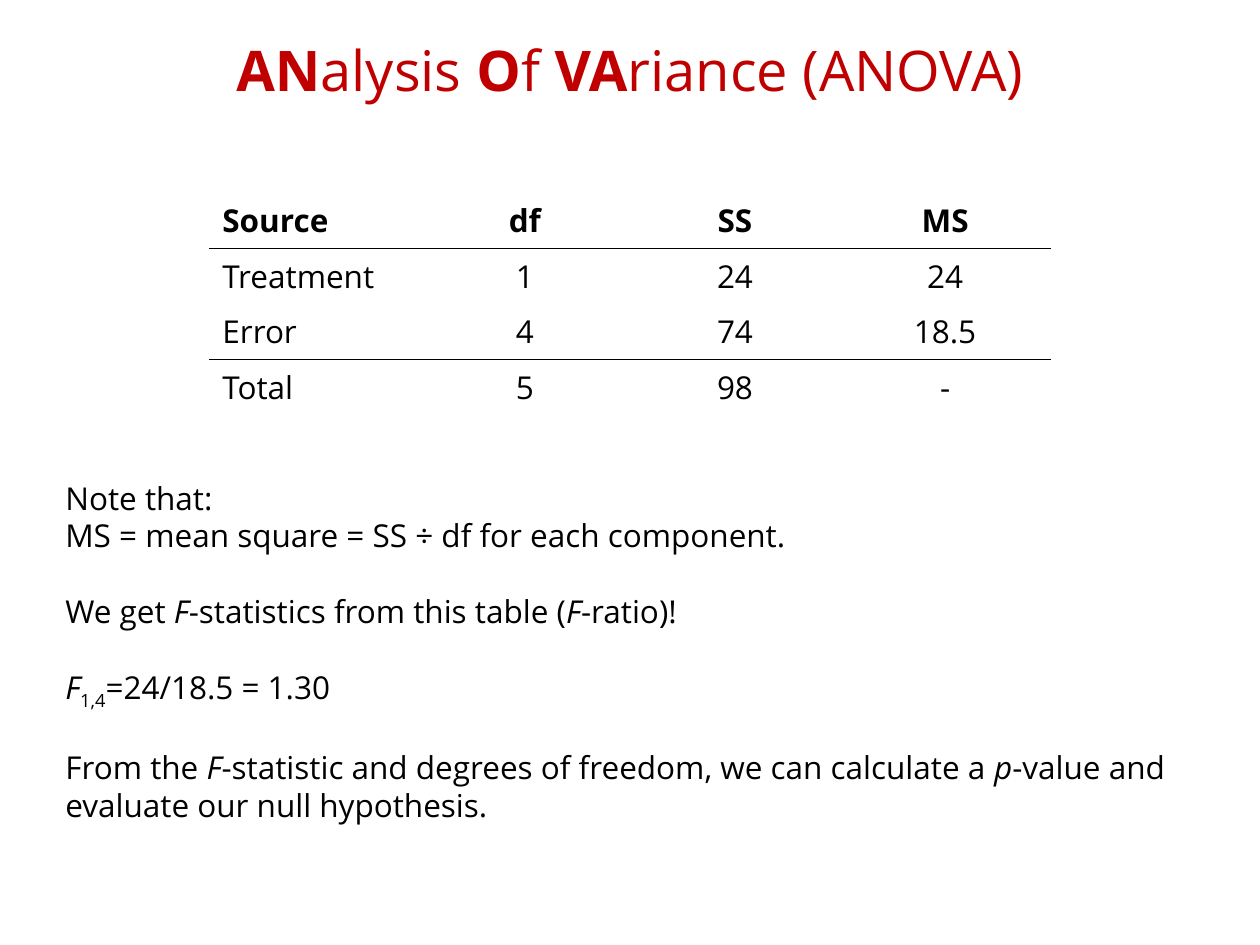
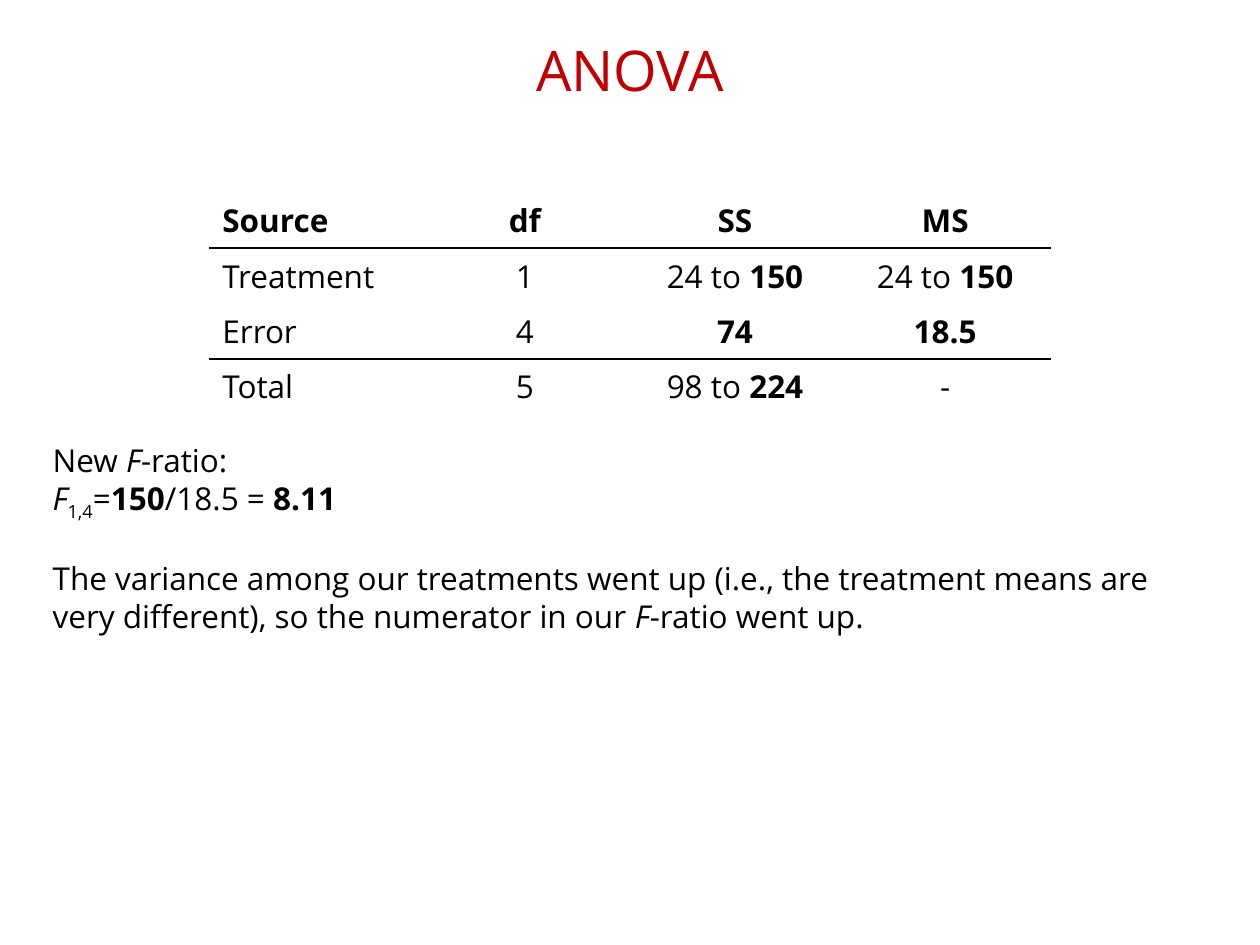
"""Builds two slides on the analysis of variance table and the F-ratio."""
from lxml import etree
from pptx import Presentation
from pptx.dml.color import RGBColor
from pptx.enum.shapes import MSO_SHAPE
from pptx.enum.text import MSO_ANCHOR, PP_ALIGN
from pptx.oxml.ns import qn
from pptx.util import Inches, Pt

RED = RGBColor(0xC0, 0x00, 0x00)
BLACK = RGBColor(0x00, 0x00, 0x00)
WHITE = RGBColor(0xFF, 0xFF, 0xFF)
FONT = "Open Sans"
TITLE_SIZE = 32
BODY_SIZE = 18
PARAGRAPH_GAP = Pt(21.6)
SLIDE_WIDTH = 10
TABLE_WIDTH = 6.67
ROW_HEIGHT = 0.44
RECTANGLE = MSO_SHAPE.RECTANGLE
MIDDLE = MSO_ANCHOR.MIDDLE
TOP = MSO_ANCHOR.TOP
LEFT = PP_ALIGN.LEFT
CENTER = PP_ALIGN.CENTER
BLANK_LAYOUT = 6
RULED_ROWS = (0, 2)
HEADER = ["Source", "df", "SS", "MS"]
BOLD, ITALIC, SUBSCRIPT = "bold", "italic", "subscript"
F = ("F", ITALIC)
F_DEGREES = ("1,4", SUBSCRIPT)


def write_spans(para, spans, size=BODY_SIZE, color=BLACK):
    """Fill a paragraph from plain strings and (text, style) pairs."""
    for part in [spans] if isinstance(spans, (str, tuple)) else spans:
        text, style = (part, None) if isinstance(part, str) else part
        span = para.add_run()
        span.text = text
        span.font.name = FONT
        span.font.size = Pt(size)
        span.font.color.rgb = color
        span.font.bold = style == BOLD
        span.font.italic = style == ITALIC
        if style == SUBSCRIPT:
            span._r.get_or_add_rPr().set("baseline", "-25000")


def add_title(page, spans):
    """Add the centred red title with its white outline."""
    box = page.shapes.add_shape(RECTANGLE, Inches(0.1), Inches(0.08), Inches(9.8), Inches(1))
    box.shadow.inherit = False
    box.fill.background()
    box.line.color.rgb = WHITE
    box.line.width = Pt(4.5)
    box.text_frame.word_wrap = True
    box.text_frame.vertical_anchor = MIDDLE
    para = box.text_frame.paragraphs[0]
    para.alignment = CENTER
    para.line_spacing = 0.9
    write_spans(para, spans, TITLE_SIZE, RED)


def set_border(cell, side, color):
    """Draw one side of a cell, named L, R, T or B, as a one-point line."""
    line = etree.SubElement(cell._tc.get_or_add_tcPr(), qn(f"a:ln{side}"), w=str(Pt(1)))
    fill = etree.SubElement(line, qn("a:solidFill"))
    etree.SubElement(fill, qn("a:srgbClr"), val=str(color))


def add_anova_table(page, rows):
    """Add the variance table with rules below the header and the error row."""
    rows = [[(name, BOLD) for name in HEADER]] + rows
    left = (SLIDE_WIDTH - TABLE_WIDTH) / 2
    frame = page.shapes.add_table(len(rows), len(HEADER), Inches(left), Inches(1.53),
                                  Inches(TABLE_WIDTH), Inches(ROW_HEIGHT * len(rows)))
    table = frame.table
    table.first_row = False
    table.horz_banding = False
    for row_index, row in enumerate(rows):
        top = BLACK if row_index - 1 in RULED_ROWS else WHITE
        bottom = BLACK if row_index in RULED_ROWS else WHITE
        for column_index, spans in enumerate(row):
            cell = table.cell(row_index, column_index)
            for side, color in zip("LRTB", (WHITE, WHITE, top, bottom)):
                set_border(cell, side, color)
            cell.fill.solid()
            cell.fill.fore_color.rgb = WHITE
            para = cell.text_frame.paragraphs[0]
            para.alignment = CENTER if column_index else LEFT
            write_spans(para, spans)


def add_notes_text(page, left, top, width, height, blocks):
    """Add body text whose blocks of paragraphs are one line apart."""
    box = page.shapes.add_textbox(Inches(left), Inches(top), Inches(width), Inches(height))
    frame = box.text_frame
    frame.word_wrap = True
    frame.vertical_anchor = TOP
    para = None
    for block in blocks:
        for index, spans in enumerate(block):
            starts_block = para is not None and index == 0
            para = frame.paragraphs[0] if para is None else frame.add_paragraph()
            if starts_block:
                para.space_before = PARAGRAPH_GAP
            write_spans(para, spans)


def build_first_table(deck):
    """Build the slide that introduces the table and the F-statistic."""
    page = deck.slides.add_slide(deck.slide_layouts[BLANK_LAYOUT])
    add_title(page, [("AN", BOLD), "alysis ", ("O", BOLD), "f ", ("VA", BOLD),
                     "riance (ANOVA)"])
    add_anova_table(page, [
        ["Treatment", "1", "24", "24"],
        ["Error", "4", "74", "18.5"],
        ["Total", "5", "98", "-"],
    ])
    add_notes_text(page, 0.42, 3.75, 9.48, 3.13, [
        ["Note that:", "MS = mean square = SS ÷ df for each component."],
        [["We get ", F, "-statistics from this table (", F, "-ratio)!"]],
        [[F, F_DEGREES, "=24/18.5 = 1.30"]],
        [["From the ", F, "-statistic and degrees of freedom, we can calculate a ",
          ("p", ITALIC), "-value and evaluate our null hypothesis."]],
    ])


def build_changed_table(deck):
    """Build the slide with the larger treatment variance."""
    page = deck.slides.add_slide(deck.slide_layouts[BLANK_LAYOUT])
    add_title(page, "ANOVA")
    raised = ["24 to ", ("150", BOLD)]
    add_anova_table(page, [
        ["Treatment", "1", raised, raised],
        ["Error", "4", ("74", BOLD), ("18.5", BOLD)],
        ["Total", "5", ["98 to ", ("224", BOLD)], "-"],
    ])
    add_notes_text(page, 0.32, 3.45, 9.06, 1.92, [
        [["New ", F, "-ratio:"],
         [F, F_DEGREES, "=", ("150", BOLD), "/18.5 = ", ("8.11", BOLD)]],
        [["The variance among our treatments went up (i.e., the treatment means are "
          "very different), so the numerator in our ", F, "-ratio went up."]],
    ])


def main():
    """Create the deck and save it."""
    deck = Presentation()
    deck.slide_width = Inches(SLIDE_WIDTH)
    deck.slide_height = Inches(7.5)
    build_first_table(deck)
    build_changed_table(deck)
    deck.save("out.pptx")


main()
